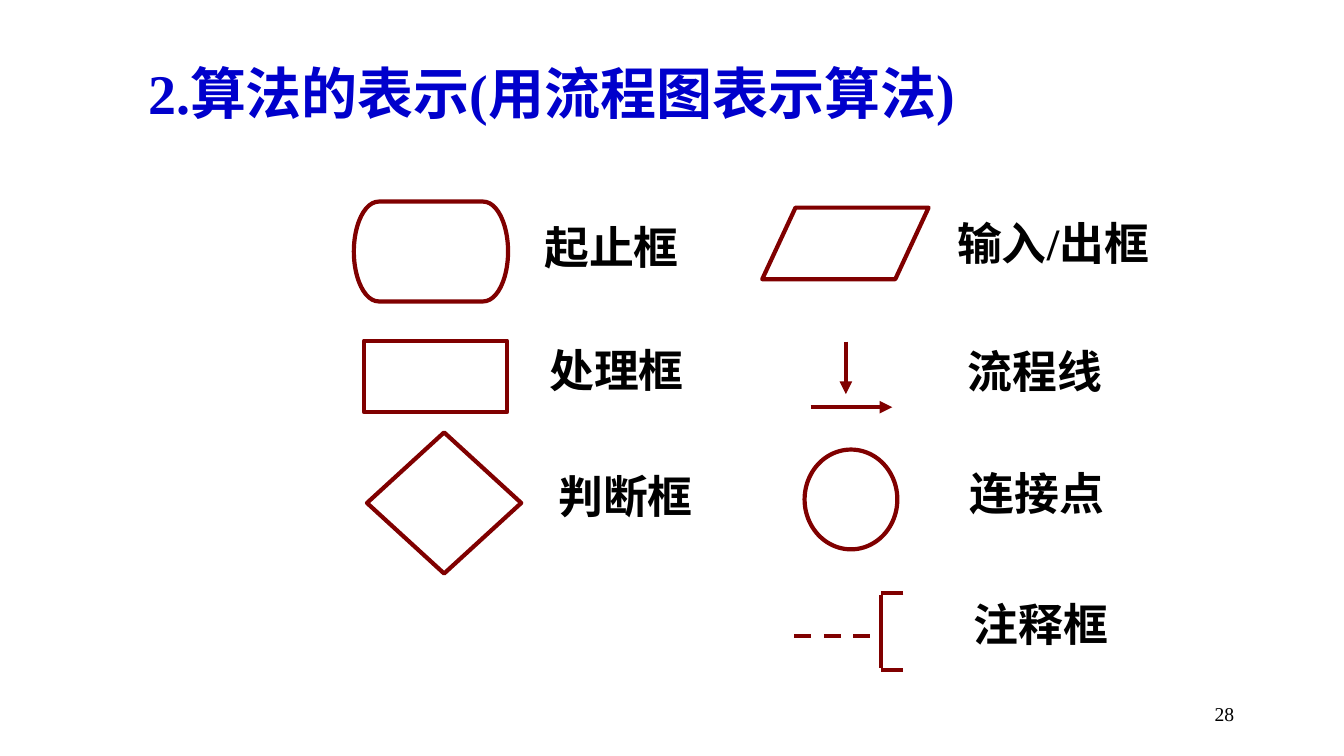
"""Build a slide that explains the standard flowchart symbols."""
import pptx
import pptx.dml.color
import pptx.enum.dml
import pptx.enum.shapes
import pptx.enum.text
import pptx.oxml
import pptx.oxml.ns
import pptx.util

Inches = pptx.util.Inches
SHAPE = pptx.enum.shapes.MSO_SHAPE
ALIGN = pptx.enum.text.PP_ALIGN
ANCHOR = pptx.enum.text.MSO_ANCHOR

BLACK, BLUE, MAROON = "000000", "0000CC", "800000"
LINE_WIDTH = 3
LABEL_HEIGHT = 0.63

TITLE = ("2.算法的表示(用流程图表示算法)", (1.37, 0.53, 10.38, 0.77))
PAGE_NUMBER = ("28", (9.56, 6.83, 2.78, 0.5))
LABELS = [
    ("起止框", 5.22, 2.13, 1.69),
    ("处理框", 5.27, 3.35, 1.69),
    ("判断框", 5.36, 4.6, 1.69),
    ("输入/出框", 9.33, 2.09, 2.23),
    ("流程线", 9.42, 3.36, 1.69),
    ("连接点", 9.44, 4.57, 1.69),
    ("注释框", 9.48, 5.87, 1.69),
]
SYMBOLS = [
    (SHAPE.FLOWCHART_TERMINATOR, (3.51, 2, 1.53, 0.99)),
    (SHAPE.RECTANGLE, (3.61, 3.38, 1.42, 0.71)),
    (SHAPE.FLOWCHART_DECISION, (3.64, 4.29, 1.53, 1.4)),
    (SHAPE.FLOWCHART_DATA, (7.56, 2.06, 1.65, 0.71)),
    (SHAPE.FLOWCHART_CONNECTOR, (7.98, 4.46, 0.92, 0.99)),
]
FLOW_ARROWS = [(8.04, 4.04, 8.85, 4.04), (8.39, 3.39, 8.39, 3.91)]
NOTE_DASH = (7.88, 6.31, 8.74, 6.31)
NOTE_BRACKET = [
    (8.96, 5.88, 8.74, 5.88),
    (8.74, 5.9, 8.74, 6.63),
    (8.74, 6.65, 8.96, 6.65),
]


def color(hex_value):
    return pptx.dml.color.RGBColor.from_string(hex_value)


def add_text(slide, words, place, size, hex_value, bold, align, anchor=ANCHOR.TOP):
    frame = slide.shapes.add_textbox(*map(Inches, place)).text_frame
    frame.word_wrap = True
    frame.vertical_anchor = anchor
    paragraph = frame.paragraphs[0]
    paragraph.alignment = align
    run = paragraph.add_run()
    run.text = words
    look = {"name": "Times New Roman", "size": pptx.util.Pt(size), "bold": bold}
    for key, value in look.items():
        setattr(run.font, key, value)
    run.font.color.rgb = color(hex_value)


def style_line(line):
    line.color.rgb = color(MAROON)
    line.width = pptx.util.Pt(LINE_WIDTH)


def add_symbol(slide, kind, place):
    symbol = slide.shapes.add_shape(kind, *map(Inches, place))
    symbol.shadow.inherit = False
    symbol.fill.background()
    style_line(symbol.line)


def add_line(shapes, ends, arrow=False, dashed=False):
    straight = pptx.enum.shapes.MSO_CONNECTOR.STRAIGHT
    connector = shapes.add_connector(straight, *map(Inches, ends))
    style_line(connector.line)
    if dashed:
        connector.line.dash_style = pptx.enum.dml.MSO_LINE.DASH
    properties = connector.element.spPr
    if arrow:
        head = pptx.oxml.ns.nsdecls("a")
        outline = properties.find(pptx.oxml.ns.qn("a:ln"))
        outline.append(pptx.oxml.parse_xml(f'<a:tailEnd {head} type="triangle"/>'))
    properties.append(pptx.oxml.parse_xml(f'<a:effectLst {pptx.oxml.ns.nsdecls("a")}/>'))


def main():
    deck = pptx.Presentation()
    deck.slide_width, deck.slide_height = Inches(13.33), Inches(7.5)
    slide = deck.slides.add_slide(deck.slide_layouts[6])

    add_text(slide, *PAGE_NUMBER, 14, BLACK, False, ALIGN.RIGHT, ANCHOR.MIDDLE)
    add_text(slide, *TITLE, 40, BLUE, True, ALIGN.LEFT)
    for kind, place in SYMBOLS:
        add_symbol(slide, kind, place)
    for words, left, top, width in LABELS:
        place = (left, top, width, LABEL_HEIGHT)
        add_text(slide, words, place, 32, BLACK, True, ALIGN.CENTER)
    for ends in FLOW_ARROWS:
        add_line(slide.shapes, ends, arrow=True)

    note = slide.shapes.add_group_shape()
    add_line(note.shapes, NOTE_DASH, dashed=True)
    for ends in NOTE_BRACKET:
        add_line(note.shapes, ends)

    deck.save("out.pptx")


if __name__ == "__main__":
    main()
